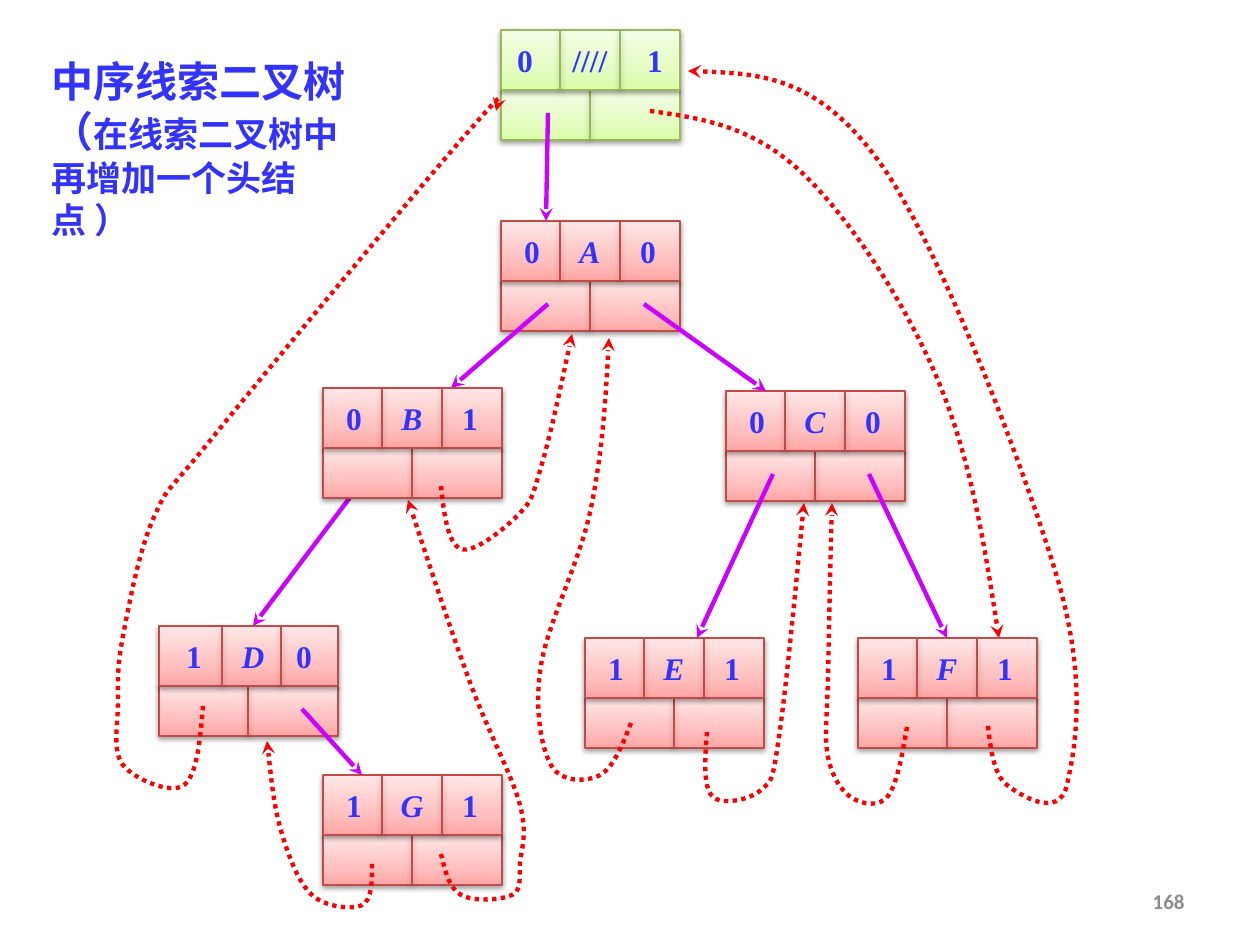
from lxml.etree import SubElement
from pptx import Presentation
from pptx.dml.color import RGBColor
from pptx.enum.dml import MSO_LINE
from pptx.enum.shapes import MSO_CONNECTOR, MSO_SHAPE
from pptx.enum.text import MSO_ANCHOR, MSO_AUTO_SIZE, PP_ALIGN
from pptx.oxml.ns import qn
from pptx.util import Pt

PX = 914400 / 126
BLUE, PURPLE, RED, GRAY = "3333FF", "CC00FF", "FF0000", "8C8C8C"
SERIF = "Times New Roman"
PINK = ("BF4C48", "FFA6A5", "FFC0BF", "FFE7E7")
GREEN = ("98B955", "DAFDA7", "E4FCC2", "F5FFE7")

NODE_W, TAG_H, LINK_H = 179, 60, 50
DIVIDERS, CENTERS = (59, 119), (31, 89, 147)
LINK_X, LINK_Y = {"left": 47, "right": 143}, 83

NODES = {
    "A": dict(at=(501, 221), tags="0A0"),
    "E": dict(at=(585, 638), tags="1E1"),
    "C": dict(at=(726, 391), tags="0C0"),
    "F": dict(at=(858, 638), tags="1F1"),
    "B": dict(at=(323, 388), tags="0B1"),
    "D": dict(at=(159, 626), tags="1D0", dividers=(63, 122), centers=(35, 94, 145)),
    "G": dict(at=(323, 775), tags="1G1"),
    "head": dict(at=(501, 30), tags=("0", "////", "1"), centers=(24, 89, 154), colors=GREEN),
}
LAYERS = [
    (("A", "E", "C", "F"), [
        ("A", "left", "B", 128),
        ("A", "right", "C", 40),
        ("B", "left", "D", 94),
        ("C", "left", "E", 112),
        ("C", "right", "F", 89),
    ]),
    (("B", "D", "G", "head"), [
        ("D", "right", "G", 39),
        ("head", "left", "A", 45),
    ]),
]

THREADS = [
    [(372, 864), (362, 905), (312, 895), (282, 834), (267, 741)],
    [(707, 732), (712, 796), (761, 790), (779, 737), (804, 503)],
    [(907, 727), (888, 796), (852, 798), (828, 757), (828, 678), (832, 503)],
    [(650, 111), (799, 170), (937, 378), (999, 638)],
    [(988, 726), (1007, 785), (1067, 785), (1057, 577), (878, 160), (688, 71)],
    [(441, 486), (461, 549), (520, 513), (541, 467), (572, 334)],
    [(441, 854), (461, 895), (512, 895), (520, 864), (520, 805), (471, 685), (408, 500)],
    [(203, 706), (184, 785), (123, 765), (118, 703), (123, 636), (154, 517), (213, 437),
     (461, 140), (496, 111)],
    [(631, 723), (600, 775), (551, 765), (541, 665), (591, 508), (609, 338)],
]

TITLE = [("中序线索二叉树（", 24), ("在线索二叉树中再增加一个头结点 ）", 20)]


def emu(*values):
    return [round(v * PX) for v in values]


def rgb(color):
    return RGBColor.from_string(color)


def add_xml(parent, tag, **attrs):
    return SubElement(parent, qn(tag), {k: str(v) for k, v in attrs.items()})


def add_color(parent, color):
    return add_xml(parent, "a:srgbClr", val=color)


def set_line(sp, color, width):
    sp.line.color.rgb = rgb(color)
    sp.line.width = Pt(width)


def add_shadow(sp):
    effects = add_xml(sp._element.spPr, "a:effectLst")
    shadow = add_xml(effects, "a:outerShdw", blurRad=40000, dist=20000, dir=5400000, rotWithShape=0)
    add_xml(add_color(shadow, "000000"), "a:alpha", val=38000)


def add_arrowhead(sp):
    add_xml(sp._element.spPr.find(qn("a:ln")), "a:tailEnd", type="stealth")


def add_run(p, text, size, color, font, bold=True, italic=False):
    r = p.add_run()
    r.text = text
    r.font.size, r.font.name = Pt(size), font
    r.font.bold, r.font.italic = bold, italic
    r.font.color.rgb = rgb(color)


def add_line(s, x1, y1, x2, y2, color, width):
    sp = s.shapes.add_connector(MSO_CONNECTOR.STRAIGHT, *emu(x1, y1, x2, y2))
    set_line(sp, color, width)
    return sp


def add_row(s, x, y, h, dividers, colors):
    border, *stops = colors
    sp = s.shapes.add_shape(MSO_SHAPE.RECTANGLE, *emu(x, y, NODE_W, h))
    grad = add_xml(sp._element.spPr, "a:gradFill", rotWithShape=1)
    stop_list = add_xml(grad, "a:gsLst")
    for pos, color in zip((0, 35, 100), stops):
        add_color(add_xml(stop_list, "a:gs", pos=pos * 1000), color)
    add_xml(grad, "a:lin", ang=16200000, scaled=1)
    set_line(sp, border, 0.75)
    add_shadow(sp)
    for dx in dividers:
        add_shadow(add_line(s, x + dx, y, x + dx, y + h, border, 0.75))
    return sp


def add_node(s, at, tags, dividers=DIVIDERS, centers=CENTERS, colors=PINK):
    x, y = at
    add_row(s, x, y + TAG_H, LINK_H, [NODE_W // 2], colors)
    tf = add_row(s, x, y, TAG_H, dividers, colors).text_frame
    tf.word_wrap = True
    tf.margin_left = tf.margin_right = 0
    tf.vertical_anchor = MSO_ANCHOR.MIDDLE
    p = tf.paragraphs[0]
    p.alignment = PP_ALIGN.LEFT
    tabs = add_xml(p._p.get_or_add_pPr(), "a:tabLst")
    for pos in emu(*centers):
        add_xml(tabs, "a:tab", pos=pos, algn="ctr")
    for tag in tags:
        add_run(p, "\t" + tag, 18, BLUE, SERIF, italic=tag.isalpha())


def add_arrow(s, parent, side, child, entry):
    px, py = NODES[parent]["at"]
    cx, cy = NODES[child]["at"]
    sp = add_line(s, px + LINK_X[side], py + LINK_Y, cx + entry, cy, PURPLE, 2.5)
    add_arrowhead(sp)
    add_xml(sp._element.spPr, "a:effectLst")


def shift(p, start, end, part):
    return tuple(v + (b - a) * part for v, a, b in zip(p, start, end))


def smooth(points):
    last = len(points) - 1
    curve = []
    for i in range(last):
        p, q = points[i], points[i + 1]
        leave = shift(p, points[i - 1], q, 1 / 6) if i else None
        reach = shift(q, p, points[i + 2], -1 / 6) if i + 1 < last else None
        leave = leave or shift(p, p, reach, 1 / 2)
        reach = reach or shift(q, q, leave, 1 / 2)
        curve += [leave, reach, q]
    return curve


def add_thread(s, points):
    fb = s.shapes.build_freeform(*points[0], scale=PX)
    fb.add_line_segments(smooth(points), close=False)
    sp = fb.convert_to_shape()
    outline = sp._element.find(".//" + qn("a:path"))
    steps = outline.findall(qn("a:lnTo"))
    for i in range(0, len(steps), 3):
        curve = add_xml(outline, "a:cubicBezTo")
        for step in steps[i:i + 3]:
            curve.append(step[0])
            outline.remove(step)
    sp.fill.background()
    set_line(sp, RED, 2.5)
    sp.line.dash_style = MSO_LINE.ROUND_DOT
    add_arrowhead(sp)
    sp.shadow.inherit = False


def add_text(s, box):
    tf = s.shapes.add_textbox(*emu(*box)).text_frame
    tf.word_wrap = True
    return tf


prs = Presentation()
prs.slide_width, prs.slide_height = emu(1260, 945)
s = prs.slides.add_slide(prs.slide_layouts[6])

for names, arrows in LAYERS:
    for name in names:
        add_node(s, **NODES[name])
    for arrow in arrows:
        add_arrow(s, *arrow)
for points in THREADS:
    add_thread(s, points)

tf = add_text(s, (39, 49, 344, 158))
tf.auto_size = MSO_AUTO_SIZE.SHAPE_TO_FIT_TEXT
for text, size in TITLE:
    add_run(tf.paragraphs[0], text, size, BLUE, SERIF)

tf = add_text(s, (903, 876, 294, 50))
tf.vertical_anchor = MSO_ANCHOR.MIDDLE
tf.paragraphs[0].alignment = PP_ALIGN.RIGHT
add_run(tf.paragraphs[0], "168", 12, GRAY, "Calibri")

prs.save("out.pptx")
